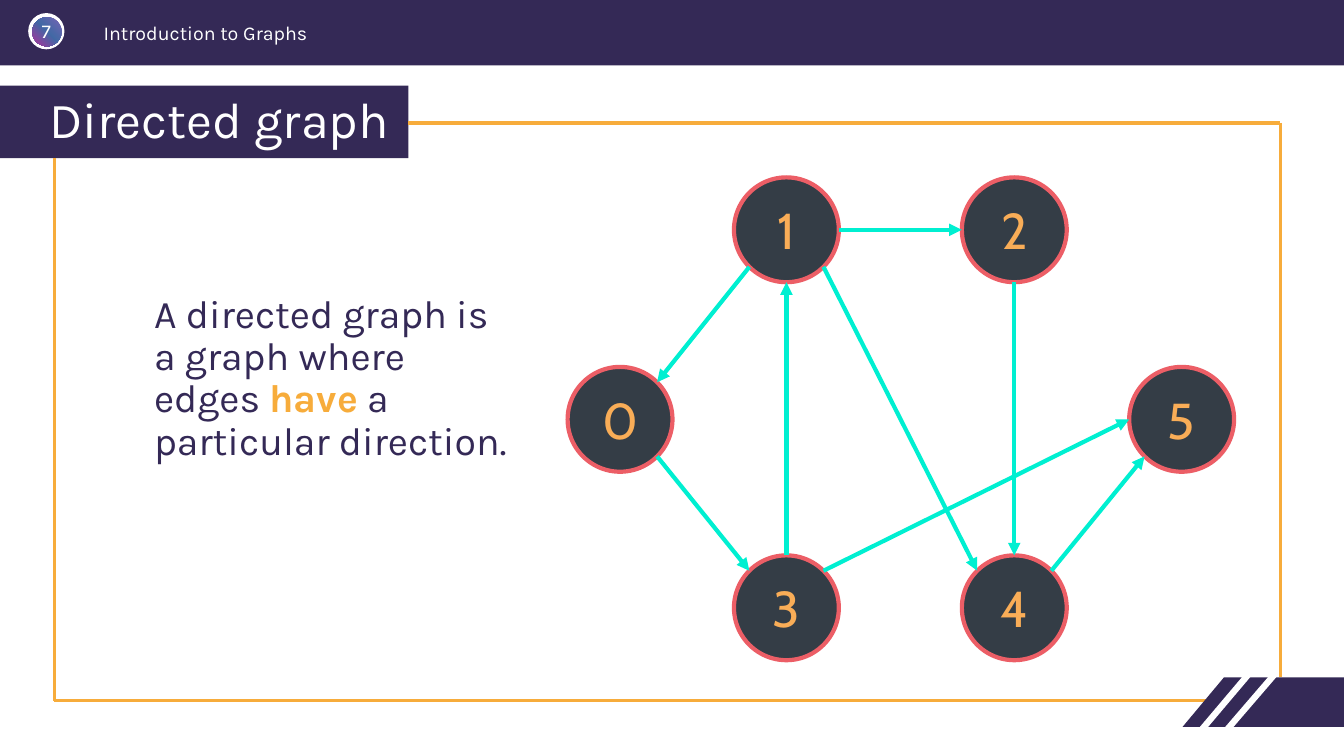
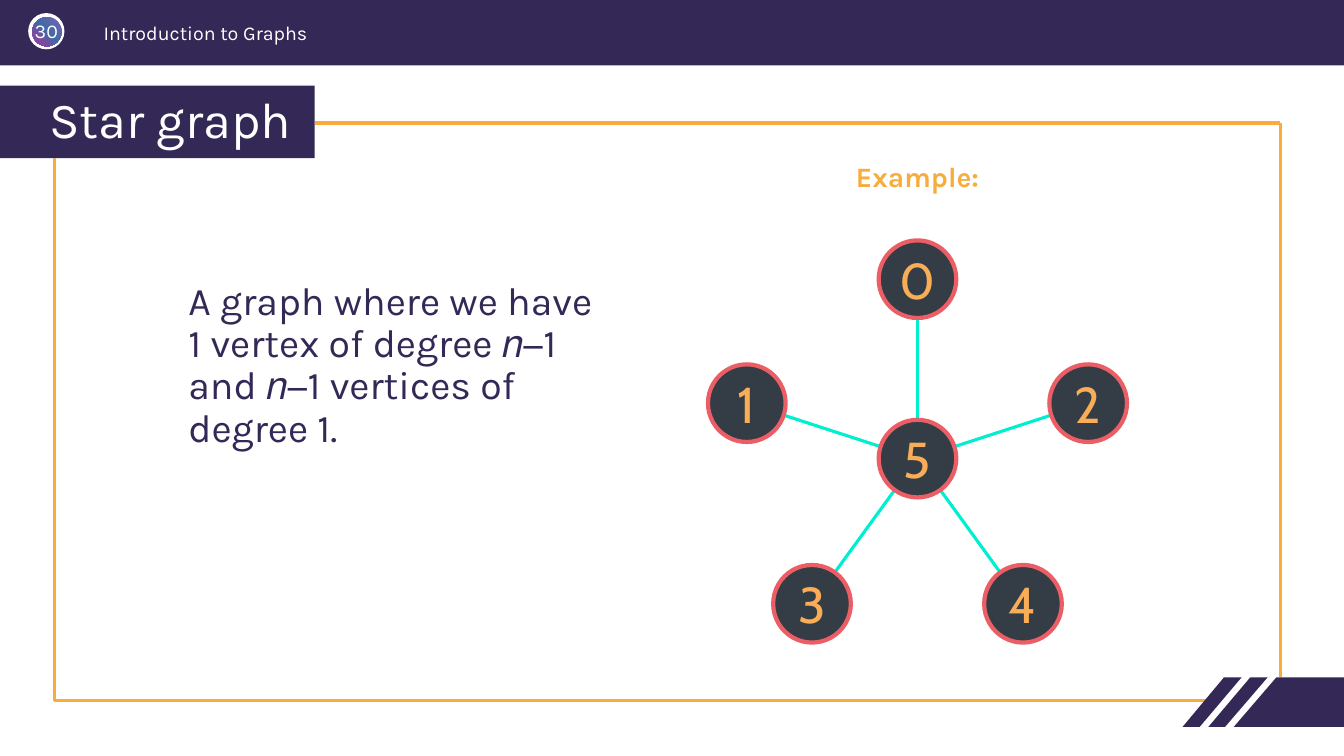
from copy import deepcopy
from math import cos, radians, sin, sqrt

from pptx import Presentation
from pptx.dml.color import RGBColor
from pptx.enum.shapes import MSO_CONNECTOR as CONN, MSO_SHAPE as SHAPE
from pptx.enum.text import MSO_ANCHOR as ANCHOR, MSO_AUTO_SIZE as AUTO, PP_ALIGN as ALIGN
from pptx.oxml.ns import qn
from pptx.util import Inches, Pt

# Shared style
WIDTH, HEIGHT = 13.33, 7.5
NAVY, WHITE, ORANGE = "342956", "FFFFFF", "F7AC3B"
NODE_FILL, NODE_LINE, NODE_TEXT, EDGE = "343D46", "EC5E66", "F9AD57", "00EFD1"
BADGE_STOPS = [(0, "7864B5"), (0.49, "4269A5"), (1, "B2329A")]
BODY_FONT, NODE_FONT = "Karla", "Cabin"
TITLE_TOP, TITLE_HEIGHT = 0.85, 0.72

# Compass points on a unit circle
D = sqrt(0.5)
SITES = {"N": (0, -1), "E": (1, 0), "S": (0, 1), "W": (-1, 0),
         "NE": (D, -D), "SE": (D, D), "SW": (-D, D), "NW": (-D, -D)}


def rgb(color):
    return RGBColor.from_string(color)


def inches(*values):
    return [Inches(v) for v in values]


# Basic elements
def add_run(p, text, size, color=NAVY, font=BODY_FONT, bold=False):
    r = p.add_run()
    r.text = text
    r.font.size, r.font.name, r.font.bold = Pt(size), font, bold
    r.font.color.rgb = rgb(color)


def add_text(s, box, runs, size, align=ALIGN.LEFT, spacing=None, inset=True):
    """Each run is (text, colour, bold)."""
    tf = s.shapes.add_textbox(*inches(*box)).text_frame
    tf.word_wrap = True
    if not inset:
        tf.margin_left = tf.margin_right = tf.margin_top = tf.margin_bottom = 0
    p = tf.paragraphs[0]
    p.alignment, p.line_spacing = align, spacing
    for text, color, bold in runs:
        add_run(p, text, size, color, bold=bold)


def add_shape(s, kind, box, fill=None):
    sp = s.shapes.add_shape(kind, *inches(*box))
    sp.shadow.inherit = False
    sp.line.fill.background()
    if fill:
        sp.fill.solid()
        sp.fill.fore_color.rgb = rgb(fill)
    return sp


def add_line(s, start, end, color, width, arrow=False):
    c = s.shapes.add_connector(CONN.STRAIGHT, *inches(*start, *end))
    c.line.color.rgb, c.line.width = rgb(color), Pt(width)
    if arrow:
        ln = c.line._get_or_add_ln()
        ln.append(ln.makeelement(qn("a:tailEnd"), {"type": "triangle"}))
    sp_pr = c._element.spPr
    sp_pr.append(sp_pr.makeelement(qn("a:effectLst"), {}))


def add_node(s, label, center, radius):
    x, y = center
    sp = add_shape(s, SHAPE.OVAL, (x - radius, y - radius, 2 * radius, 2 * radius), NODE_FILL)
    sp.line.color.rgb, sp.line.width = rgb(NODE_LINE), Pt(3)
    tf = sp.text_frame
    tf.word_wrap, tf.vertical_anchor = False, ANCHOR.MIDDLE
    p = tf.paragraphs[0]
    p.alignment = ALIGN.CENTER
    add_run(p, label, 36, NODE_TEXT, NODE_FONT)


# Parts found on every slide
def add_header(s, number):
    add_shape(s, SHAPE.RECTANGLE, (0, 0, WIDTH, 0.65), NAVY)
    add_shape(s, SHAPE.OVAL, (0.28, 0.13, 0.36, 0.36), WHITE)
    badge = add_shape(s, SHAPE.OVAL, (0.32, 0.17, 0.29, 0.29))
    badge.fill.gradient()
    badge.fill.gradient_angle = 225
    stops = badge._element.spPr.find(".//" + qn("a:gsLst"))
    stops.append(deepcopy(stops[0]))
    for stop, (position, color) in zip(badge.fill.gradient_stops, BADGE_STOPS):
        stop.position, stop.color.rgb = position, rgb(color)
    add_text(s, (0.93, 0.16, 5.61, 0.3), [("Introduction to Graphs", WHITE, False)], 14)
    add_text(s, (0.28, 0.19, 0.36, 0.24), [(str(number), WHITE, False)], 14,
             ALIGN.CENTER, inset=False)


def add_frame(s, title_width):
    left, top, right, bottom = 0.54, 1.22, 12.7, 6.95
    for start, end in [((title_width, top), (right, top)),
                       ((right, top), (right, 6.72)),
                       ((left, TITLE_TOP + TITLE_HEIGHT), (left, bottom)),
                       ((left, bottom), (12.1, bottom))]:
        add_line(s, start, end, ORANGE, 2.25)


def add_corner(s):
    builder = s.shapes.build_freeform(*inches(12.14, 6.72))
    builder.add_line_segments([inches(WIDTH, 6.72), inches(WIDTH, 7.21), inches(11.73, 7.21)])
    sp = builder.convert_to_shape()
    sp.shadow.inherit = False
    sp.fill.solid()
    sp.fill.fore_color.rgb = rgb(NAVY)
    sp.line.fill.background()
    for start, end in [((11.85, 7.32), (12.45, 6.61)), ((12.1, 7.32), (12.65, 6.68))]:
        add_line(s, start, end, WHITE, 4.5)


def format_title(s, text, width):
    title = s.shapes.title
    title.left, title.top, title.width, title.height = inches(0, TITLE_TOP, width, TITLE_HEIGHT)
    title.fill.solid()
    title.fill.fore_color.rgb = rgb(NAVY)
    tf = title.text_frame
    tf.word_wrap, tf.auto_size, tf.vertical_anchor = True, AUTO.NONE, ANCHOR.MIDDLE
    tf.margin_left = Inches(0.49)
    p = tf.paragraphs[0]
    p.alignment, p.line_spacing = ALIGN.LEFT, 0.9
    add_run(p, text, 36, WHITE)


def new_slide(prs, number, title, title_width):
    s = prs.slides.add_slide(prs.slide_layouts[5])
    format_title(s, title, title_width)
    add_header(s, number)
    add_frame(s, title_width)
    add_corner(s)
    return s


# Graphs
def directed_graph(s):
    radius = 0.52
    left, right = 7.8, 10.06
    top, middle, bottom = 2.28, 4.16, 6.03
    centers = [(6.15, middle), (left, top), (right, top),
               (left, bottom), (right, bottom), (11.72, middle)]
    edges = [(1, "SW", 0, "NE"), (3, "N", 1, "S"), (0, "SE", 3, "NW"), (1, "E", 2, "W"),
             (1, "SE", 4, "NW"), (2, "S", 4, "N"), (4, "NE", 5, "SW"), (3, "NE", 5, "W")]

    def rim(node, site):
        return [c + radius * d for c, d in zip(centers[node], SITES[site])]

    for label, center in enumerate(centers):
        add_node(s, str(label), center, radius)
    for source, out_site, target, in_site in edges:
        add_line(s, rim(source, out_site), rim(target, in_site), EDGE, 3, arrow=True)


def star_graph(s):
    hub, reach, radius = (9.1, 4.55), 1.78, 0.385
    clockwise = "02431"
    step = radians(360 / len(clockwise))
    leaves = [(label, (hub[0] + reach * sin(i * step), hub[1] - reach * cos(i * step)))
              for i, label in enumerate(clockwise)]
    for _, center in leaves:
        add_line(s, hub, center, EDGE, 2.25)
    for label, center in leaves + [("5", hub)]:
        add_node(s, label, center, radius)


def main():
    prs = Presentation()
    prs.slide_width, prs.slide_height = inches(WIDTH, HEIGHT)

    # Directed graph
    s = new_slide(prs, 7, "Directed graph", 4.05)
    add_text(s, (1.43, 2.87, 3.79, 1.77),
             [("A directed graph is a graph where edges ", NAVY, False),
              ("have", ORANGE, True),
              (" a particular direction.", NAVY, False)], 28, spacing=0.9)
    directed_graph(s)

    # Star graph
    s = new_slide(prs, 30, "Star graph", 3.12)
    add_text(s, (1.77, 2.74, 4.39, 2.02),
             [("A graph where we have 1 vertex of degree 𝑛−1 and 𝑛−1 vertices of degree 1.",
               NAVY, False)], 28, spacing=0.9)
    add_text(s, (7.16, 1.57, 3.88, 0.48), [("Example:", ORANGE, True)], 20,
             ALIGN.CENTER, spacing=0.9)
    star_graph(s)

    prs.save("out.pptx")


if __name__ == "__main__":
    main()
